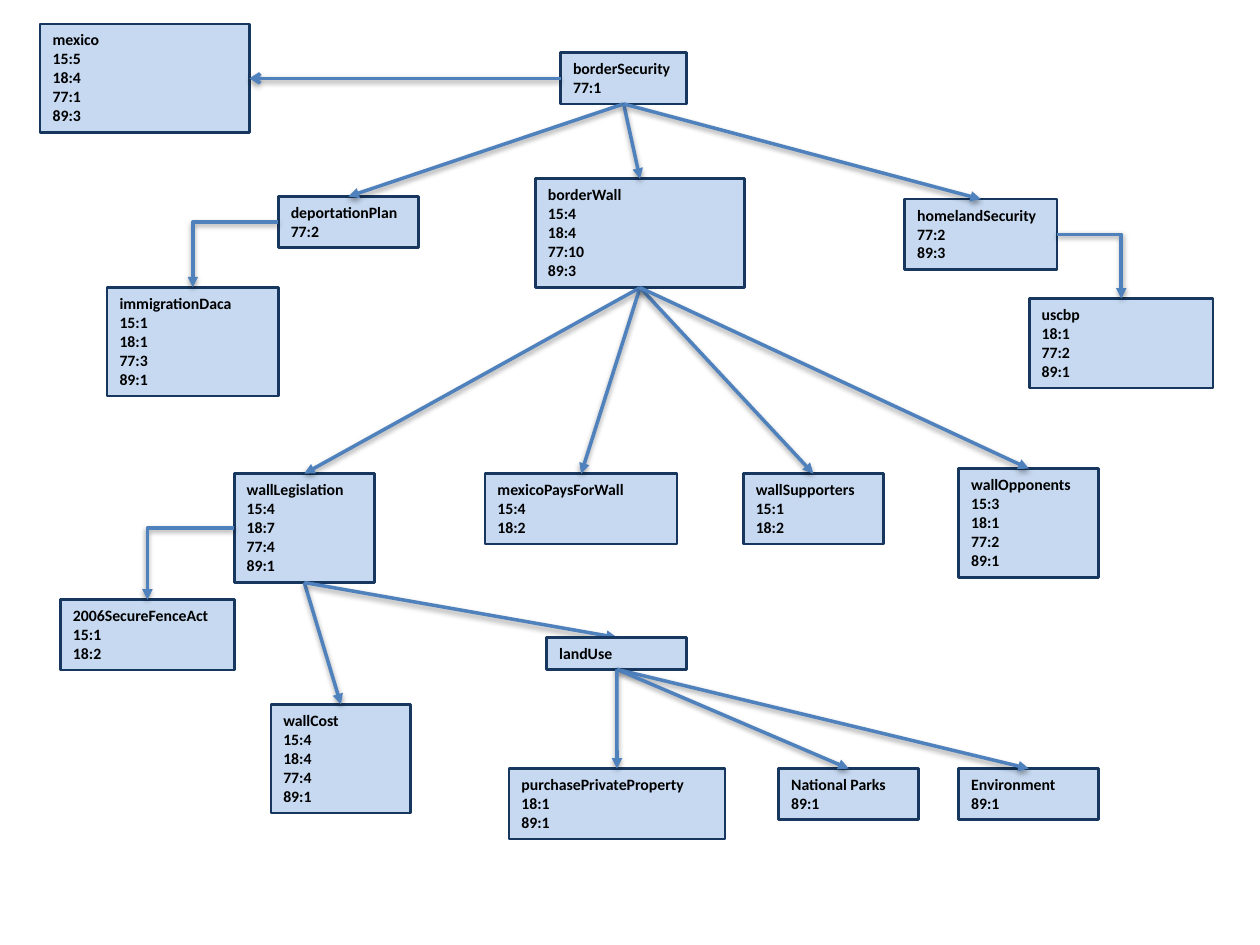
from lxml import etree
from pptx import Presentation
from pptx import util as u
from pptx.dml.color import RGBColor
from pptx.enum import shapes, text
from pptx.oxml.ns import qn

Pt = u.Pt
TOP, LEFT, BOTTOM, RIGHT = range(4)  # connection sites of a rectangle
LINE = 11  # height of one text line
PAD = 7.2  # top and bottom inset together


def color(code):
    return RGBColor.from_string(code)


def write(words, x, y, w, size=9, font="Calibri", ink="000000", bold=True, wrap=True):
    """Add a bordered box as tall as its lines, one paragraph per line."""
    lines = words.split("\n")
    box = slide.shapes.add_textbox(Pt(x), Pt(y), Pt(w), Pt(PAD + LINE * len(lines)))
    box.fill.solid()
    box.fill.fore_color.rgb = color("C6D9F1")
    box.line.color.rgb = color("17375E")
    box.line.width = Pt(1.5)
    frame = box.text_frame
    frame.text = words
    frame.word_wrap = wrap
    frame.auto_size = text.MSO_AUTO_SIZE.SHAPE_TO_FIT_TEXT
    for para in frame.paragraphs:
        face = para.runs[0].font
        face.name, face.size, face.bold = font, Pt(size), bold
        face.color.rgb = color(ink)
    return box


prs = Presentation()
prs.slide_width, prs.slide_height = Pt(720), Pt(540)
slide = prs.slides.add_slide(prs.slide_layouts[6])

# Topic, counts, left, top, width
topics = [
    ("borderSecurity", "77:1", 320.4, 30.2, 72),
    ("deportationPlan", "77:2", 159.1, 112.3, 80),
    ("mexico", "15:5 18:4 77:1 89:3", 23, 13.7, 119.5),
    ("borderWall", "15:4 18:4 77:10 89:3", 306, 102.2, 119.5),
    ("homelandSecurity", "77:2 89:3", 517, 113.8, 87),
    ("uscbp", "18:1 77:2 89:1", 588.2, 170.6, 105),
    ("immigrationDaca", "15:1 18:1 77:3 89:1", 61.2, 164.2, 98),
    ("wallLegislation", "15:4 18:7 77:4 89:1", 133.9, 270.7, 80),
    ("2006SecureFenceAct", "15:1 18:2", 34.6, 342.7, 99.4),
    ("mexicoPaysForWall", "15:4 18:2", 277.2, 270.7, 109.8),
    ("wallSupporters", "15:1 18:2", 424.8, 270.7, 80),
    ("wallOpponents", "15:3 18:1 77:2 89:1", 547.9, 267.8, 80),
    ("wallCost", "15:4 18:4 77:4 89:1", 154.8, 402.5, 80),
    ("purchasePrivateProperty", "18:1 89:1", 290.9, 439.2, 123.4),
    ("National Parks", "89:1", 445, 439.2, 80),
    ("landUse", "", 312.5, 364.3, 80),
    ("Environment", "89:1", 547.9, 439.2, 80),
]
boxes = {}
for name, counts, x, y, w in topics:
    words = "\n".join([name] + counts.split())
    boxes[name] = write(words, x, y, w, wrap=name != "borderSecurity")

# Parent, side it leaves from, children
links = [
    ("borderSecurity", LEFT, ["mexico"]),
    ("borderSecurity", BOTTOM, ["deportationPlan", "borderWall", "homelandSecurity"]),
    ("homelandSecurity", RIGHT, ["uscbp"]),
    ("deportationPlan", LEFT, ["immigrationDaca"]),
    ("borderWall", BOTTOM,
     ["wallLegislation", "mexicoPaysForWall", "wallSupporters", "wallOpponents"]),
    ("wallLegislation", LEFT, ["2006SecureFenceAct"]),
    ("wallLegislation", BOTTOM, ["wallCost", "landUse"]),
    ("landUse", BOTTOM, ["Environment", "National Parks", "purchasePrivateProperty"]),
]
kinds = shapes.MSO_CONNECTOR
for parent, side, children in links:
    if parent == "landUse":  # its box covers the tip of the arrow that reaches it
        node = boxes[parent]._element
        node.getparent().append(node)
    for child in children:
        level = child == "mexico"
        bent = side != BOTTOM and not level
        link = slide.shapes.add_connector(
            kinds.ELBOW if bent else kinds.STRAIGHT, 0, 0, 0, 0)
        link.begin_connect(boxes[parent], side)
        link.end_connect(boxes[child], RIGHT if level else TOP)
        if bent:  # a single corner
            link._element.spPr.find(qn("a:prstGeom")).set("prst", "bentConnector2")
        link.line.color.rgb = color("4F81BD")
        link.line.width = Pt(2)
        # The theme gives connectors the soft shadow wanted here
        tip = etree.SubElement(link.line._get_or_add_ln(), qn("a:tailEnd"))
        tip.set("type", "arrow" if level else "triangle")

prs.save("out.pptx")
